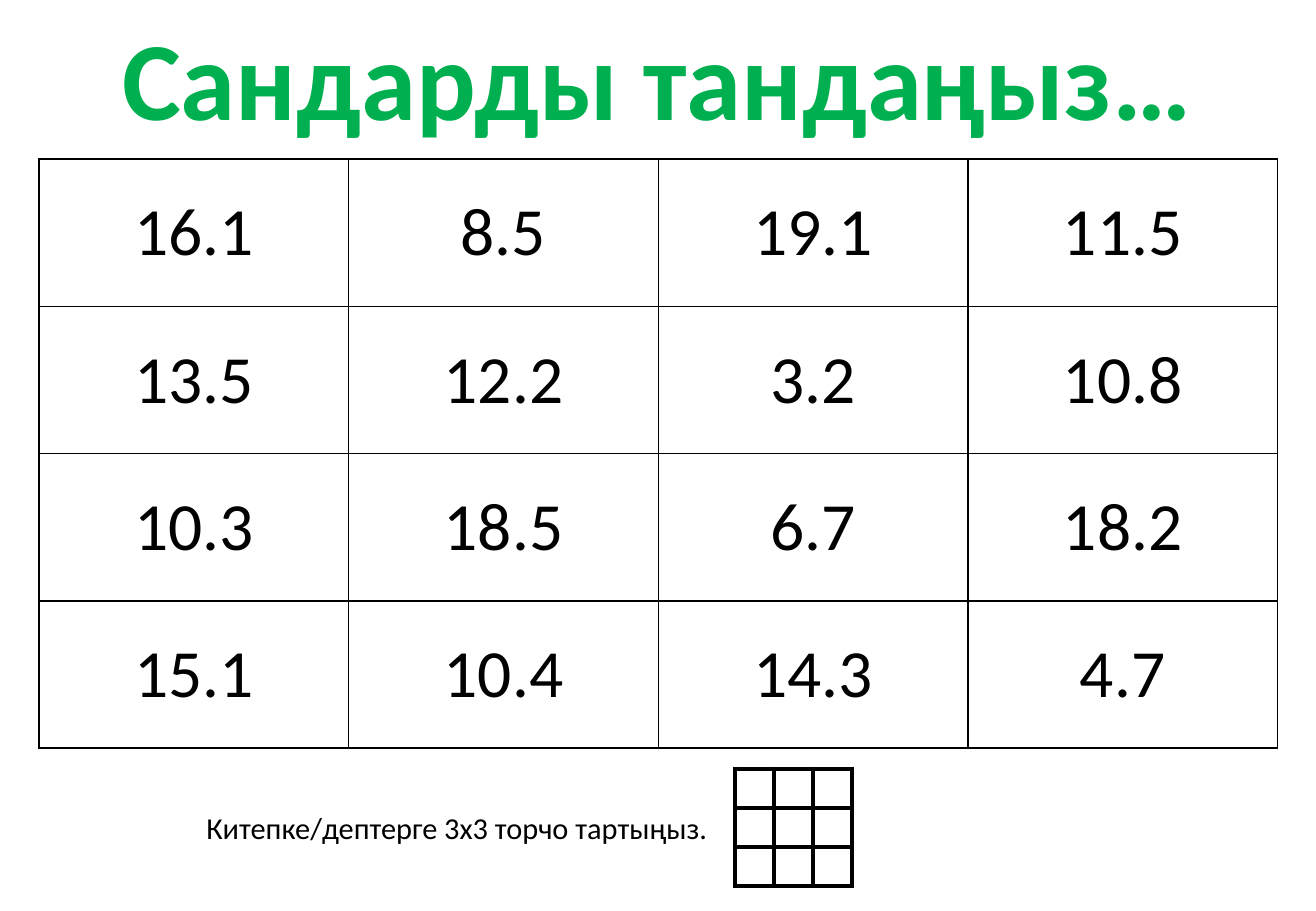
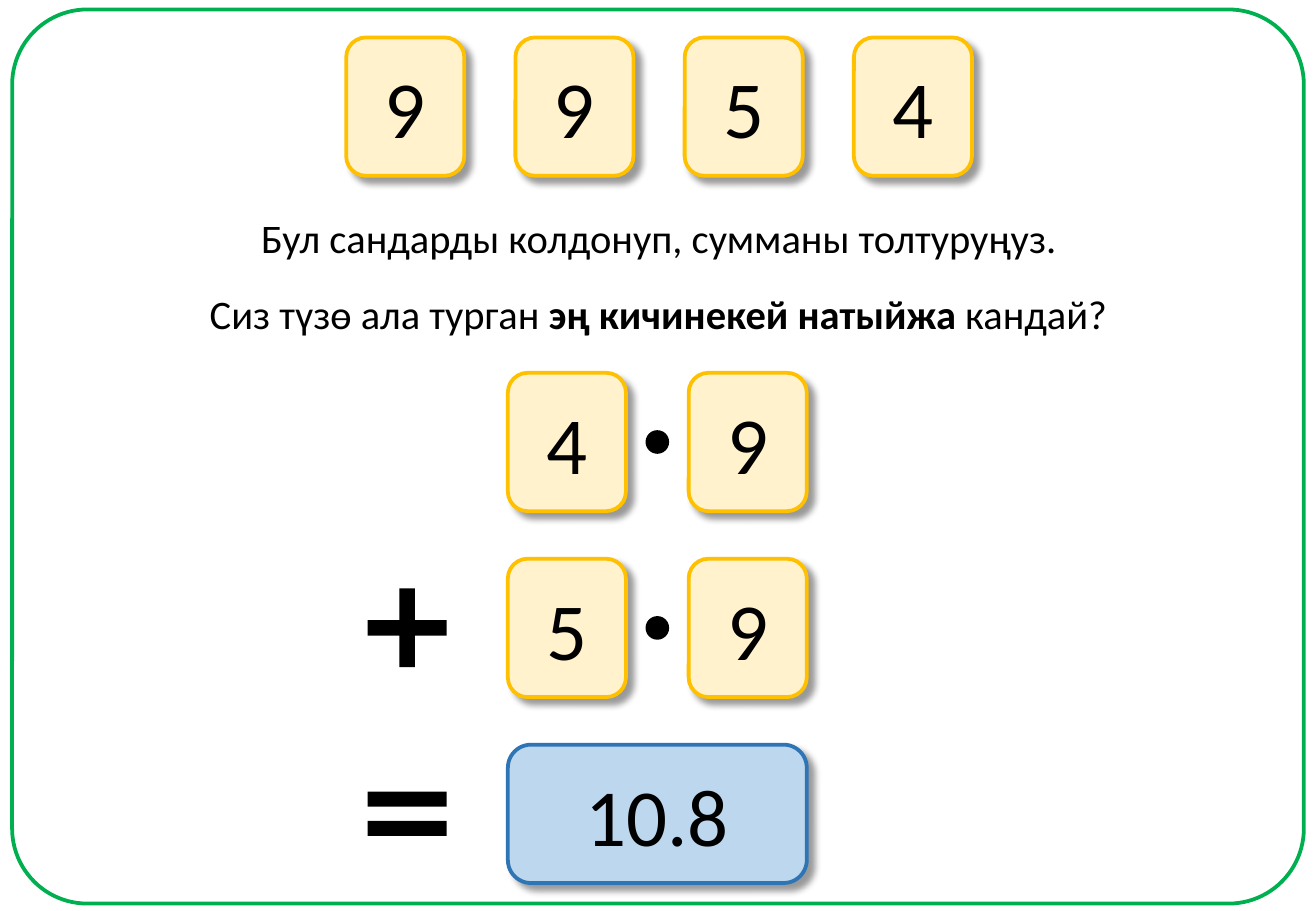
"""Build a number-choosing slide and a number-card sum slide."""
from lxml.etree import SubElement
from pptx import Presentation
from pptx.dml.color import RGBColor
from pptx.enum.shapes import MSO_SHAPE as Shape
from pptx.enum.text import MSO_ANCHOR as Anchor, MSO_AUTO_SIZE as AutoSize, PP_ALIGN as Align
from pptx.oxml.ns import qn
from pptx.util import Pt

FONT = "Calibri"
BLACK, WHITE, GREEN = "000000", "FFFFFF", "00B050"
CARD_STYLE = {"fill": "FFF2CC", "line": "FFC000"}
RESULT_STYLE = {"fill": "BDD7EE", "line": "2E75B6"}
WIDTH, HEIGHT = 780, 540

HEADING = "Сандарды тандаңыз…"
NUMBERS = [
    ["16.1", "8.5", "19.1", "11.5"],
    ["13.5", "12.2", "3.2", "10.8"],
    ["10.3", "18.5", "6.7", "18.2"],
    ["15.1", "10.4", "14.3", "4.7"],
]
GRID_NOTE = "Китепке/дептерге 3х3 торчо тартыңыз."
EMPTY_GRID = [[""] * 3] * 3

DIGITS = ["9", "9", "5", "4"]
TASK = [("Бул сандарды колдонуп, сумманы толтуруңуз.", False)]
QUESTION = [("Сиз түзө ала турган ", False), ("эң кичинекей натыйжа ", True), ("кандай?", False)]
ADDENDS = [("4", "9"), ("5", "9")]
RESULT = "10.8"

CARD_W, CARD_H = 70, 82
DIGIT_LEFT, DIGIT_TOP, DIGIT_STEP = 205.2, 22.2, 100.3
COLUMNS = (301, 408.2)
SUM_TOP, SUM_STEP = 221, 110.2
SIGN_LEFT, DOT = 209.5, 13


def color(value):
    return RGBColor.from_string(value)


def points(*values):
    return [Pt(value) for value in values]


def write(frame, text, size, bold=False, align=Align.CENTER, ink=BLACK):
    """Write a string, or (string, bold) pairs, as one paragraph."""
    para = frame.paragraphs[0]
    para.alignment = align
    for part, heavy in [(text, bold)] if isinstance(text, str) else text:
        span = para.add_run()
        span.text = part
        span.font.name, span.font.size, span.font.bold = FONT, Pt(size), heavy
        span.font.color.rgb = color(ink)


def place_text(box, at, text, size, **style):
    """Position a text box or placeholder and fill it with one line."""
    box.left, box.top, box.width, box.height = points(*at)
    frame = box.text_frame
    frame.auto_size, frame.word_wrap = AutoSize.NONE, False
    frame.vertical_anchor = Anchor.MIDDLE
    write(frame, text, size, **style)


def add_text(slide, at, text, size, **style):
    place_text(slide.shapes.add_textbox(*points(*at)), at, text, size, **style)


def add_box(slide, kind, at, fill=None, line=None, weight=2.25, adjust=()):
    """Add a flat preset shape."""
    box = slide.shapes.add_shape(kind, *points(*at))
    box.shadow.inherit = False
    for index, value in enumerate(adjust):
        box.adjustments[index] = value
    if fill:
        box.fill.solid()
        box.fill.fore_color.rgb = color(fill)
    else:
        box.fill.background()
    if line:
        box.line.color.rgb = color(line)
        box.line.width = Pt(weight)
    else:
        box.line.fill.background()
    return box


def add_card(slide, text, left, top, width=CARD_W, style=CARD_STYLE):
    """Add a rounded card with a soft shadow and a large number."""
    card = add_box(slide, Shape.ROUNDED_RECTANGLE, (left, top, width, CARD_H), **style)
    effects = card.element.spPr.find(qn("a:effectLst"))
    shadow = SubElement(effects, qn("a:outerShdw"), blurRad=str(Pt(4)), dist=str(Pt(5)),
                        dir="2700000", algn="tl", rotWithShape="0")
    tint = SubElement(shadow, qn("a:srgbClr"), val=BLACK)
    SubElement(tint, qn("a:alpha"), val="40000")
    card.text_frame.vertical_anchor = Anchor.MIDDLE
    write(card.text_frame, text, 48)


def add_grid(slide, rows, left, top, cell_w, cell_h, border, size=18):
    """Add a white table with equal cells and black borders."""
    count = len(rows[0])
    at = points(left, top, cell_w * count, cell_h * len(rows))
    table = slide.shapes.add_table(len(rows), count, *at).table
    table.first_row = table.horz_banding = False
    for column in table.columns:
        column.width = Pt(cell_w)
    for row, texts in zip(table.rows, rows):
        row.height = Pt(cell_h)
        for cell, text in zip(row.cells, texts):
            cell.margin_left = cell.margin_right = cell.margin_top = cell.margin_bottom = 0
            cell.vertical_anchor = Anchor.MIDDLE
            properties = cell._tc.get_or_add_tcPr()
            for side in ("lnL", "lnR", "lnT", "lnB"):
                edge = SubElement(properties, qn(f"a:{side}"), w=str(Pt(border)))
                SubElement(SubElement(edge, qn("a:solidFill")), qn("a:srgbClr"), val=BLACK)
            cell.fill.solid()
            cell.fill.fore_color.rgb = color(WHITE)
            if text:
                write(cell.text_frame, text, size)


def build_choice(slide):
    """Show the number table and the grid to draw."""
    add_grid(slide, NUMBERS, 23.2, 94.3, 183.5, 87.3, 1, size=40)
    place_text(slide.shapes.title, (57, 1.5, 665, 87), HEADING, 66, bold=True, ink=GREEN)
    add_grid(slide, EMPTY_GRID, 435.8, 455.8, 23.1, 23.1, 3)
    add_text(slide, (115.2, 476, 313, 29), GRID_NOTE, 18, align=Align.LEFT)


def build_sum(slide):
    """Show the digit cards, the question and the completed sum."""
    add_box(slide, Shape.ROUNDED_RECTANGLE, (7.2, 5.6, 765.6, 530), line=GREEN, adjust=[0.084])
    add_text(slide, (145, 122.4, 491, 36), TASK, 24)
    place_text(slide.shapes.title, (114.5, 167.8, 551.5, 36), QUESTION, 24)
    for index, digit in enumerate(DIGITS):
        add_card(slide, digit, DIGIT_LEFT + index * DIGIT_STEP, DIGIT_TOP)

    tops = [SUM_TOP + index * SUM_STEP for index in range(len(ADDENDS) + 1)]
    dot_left = (COLUMNS[0] + CARD_W + COLUMNS[1] - DOT) / 2
    for top, digits in zip(tops, ADDENDS):
        for left, digit in zip(COLUMNS, digits):
            add_card(slide, digit, left, top)
        add_box(slide, Shape.OVAL, (dot_left, top + (CARD_H - DOT) / 2, DOT, DOT),
                fill=BLACK, line=BLACK, weight=1)
    add_card(slide, RESULT, COLUMNS[0], tops[-1], COLUMNS[1] + CARD_W - COLUMNS[0], RESULT_STYLE)

    signs = [(Shape.MATH_PLUS, 63.5, [0.144]), (Shape.MATH_EQUAL, 72, [0.123, 0.118])]
    for top, (kind, height, adjust) in zip(tops[1:], signs):
        add_box(slide, kind, (SIGN_LEFT, top + (CARD_H - height) / 2, 63.7, height),
                fill=BLACK, adjust=adjust)


def main():
    deck = Presentation()
    deck.slide_width, deck.slide_height = points(WIDTH, HEIGHT)
    title_only = deck.slide_layouts[5]
    for build in (build_choice, build_sum):
        build(deck.slides.add_slide(title_only))
    deck.save("out.pptx")


if __name__ == "__main__":
    main()
